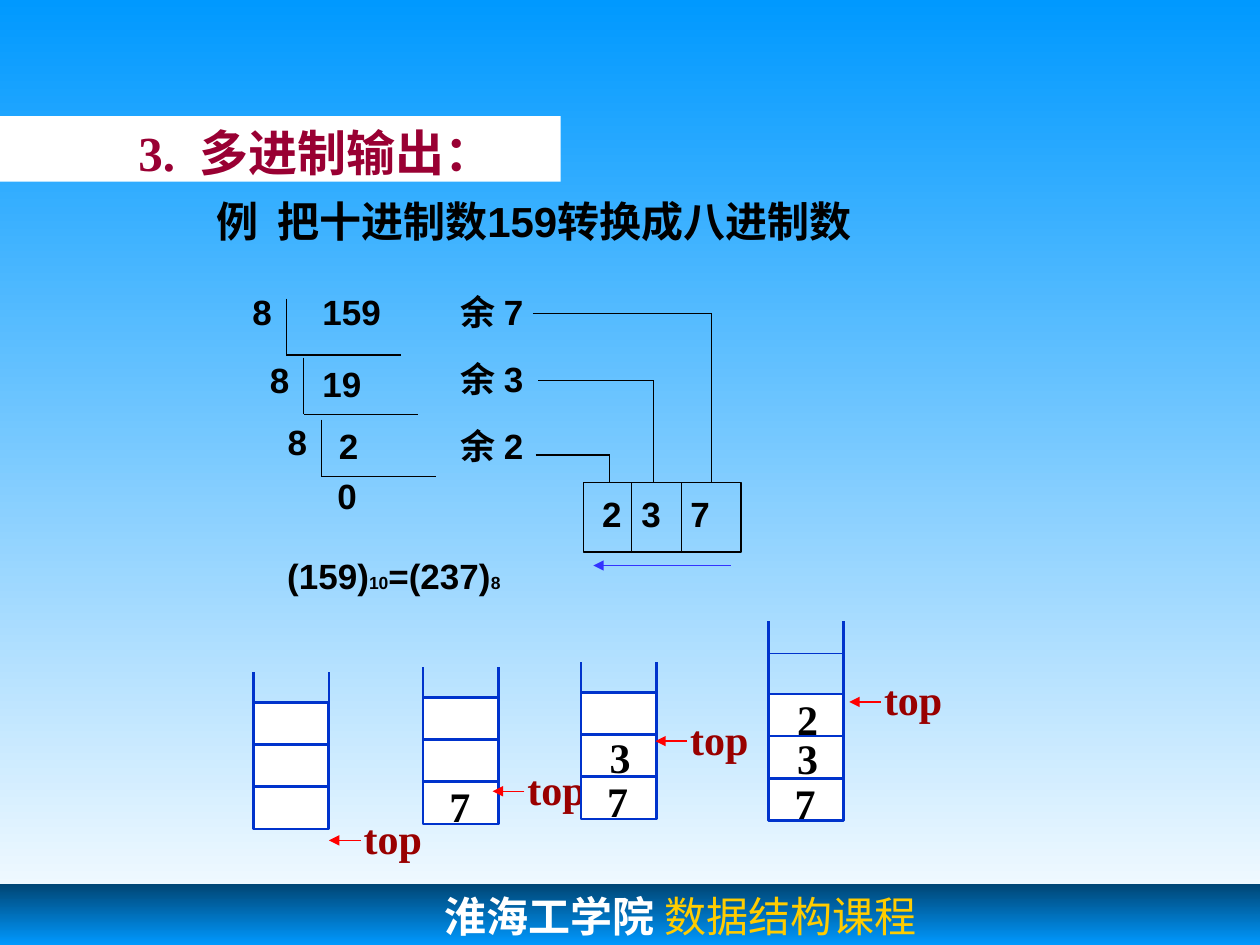
"""Build the slide on converting 159 to octal with a stack."""
from copy import deepcopy

from lxml.etree import SubElement
from pptx import Presentation
from pptx.dml.color import RGBColor
from pptx.enum.shapes import MSO_CONNECTOR as CONNECTOR, MSO_SHAPE as SHAPE
from pptx.enum.text import MSO_ANCHOR as ANCHOR, MSO_AUTO_SIZE as AUTO_SIZE, PP_ALIGN as ALIGN
from pptx.oxml.ns import qn
from pptx.util import Cm, Pt

HEX = {
    "sky": "0099FF", "navy": "004675", "white": "FFFFFF", "yellow": "FFCC00",
    "title": "990033", "black": "000000", "stack": "0033CC", "top": "990000",
    "pointer": "FF0000", "reading": "3333FF",
}
COLORS = {name: RGBColor.from_string(value) for name, value in HEX.items()}
SANS, SERIF, MONO = "Arial", "Times New Roman", "Courier New"


def add_text(left, top, width, height, runs, size=20, font=SANS, color="black", centred=False):
    box = slide.shapes.add_textbox(Cm(left), Cm(top), Cm(width), Cm(height))
    frame = box.text_frame
    frame.word_wrap = False
    frame.auto_size = AUTO_SIZE.SHAPE_TO_FIT_TEXT
    frame.vertical_anchor = ANCHOR.MIDDLE if centred else ANCHOR.TOP
    paragraph = frame.paragraphs[0]
    paragraph.alignment = ALIGN.CENTER if centred else ALIGN.LEFT
    for text in runs:
        run = paragraph.add_run()
        run.text = text
        run.font.size, run.font.name, run.font.bold = Pt(size), font, True
        run.font.color.rgb = COLORS[color]
    return paragraph


def add_line(x1, y1, x2, y2, color="black", width=0.75, arrow=False):
    line = slide.shapes.add_connector(CONNECTOR.STRAIGHT, Cm(x1), Cm(y1), Cm(x2), Cm(y2))
    line.line.color.rgb = COLORS[color]
    line.line.width = Pt(width)
    if arrow:
        SubElement(line.line._get_or_add_ln(), qn("a:tailEnd"), type="triangle")
    SubElement(line._element.spPr, qn("a:effectLst"))


presentation = Presentation()
presentation.slide_width, presentation.slide_height = Cm(25.4), Cm(19.05)
slide = presentation.slides.add_slide(presentation.slide_layouts[5])

background = slide.background.fill
background.gradient()
background.gradient_angle = 270
for stop, name in zip(background.gradient_stops, ("sky", "white")):
    stop.color.rgb = COLORS[name]

title = slide.shapes.title
title.left, title.top, title.width, title.height = Cm(0), Cm(2.34), Cm(11.3), Cm(1.32)
title.fill.solid()
title.fill.fore_color.rgb = COLORS["white"]
frame = title.text_frame
frame.text = "3.  多进制输出："
frame.auto_size = AUTO_SIZE.NONE
frame.vertical_anchor = ANCHOR.TOP
frame.margin_left = Cm(2.79)
frame.paragraphs[0].alignment = ALIGN.LEFT
font = frame.paragraphs[0].runs[0].font
font.size, font.name, font.bold = Pt(28), SERIF, True
font.color.rgb = COLORS["title"]

footer = slide.shapes.add_shape(SHAPE.RECTANGLE, Cm(0), Cm(17.83), Cm(25.4), Cm(2.46))
footer.shadow.inherit = False
footer.line.fill.background()
footer.fill.gradient()
footer.fill.gradient_angle = 270
stop_list = footer._element.spPr.find(qn("a:gradFill")).find(qn("a:gsLst"))
stop_list.insert(1, deepcopy(stop_list[0]))
stop_list[1].set("pos", "50000")
for stop, name in zip(footer.fill.gradient_stops, ("navy", "sky", "navy")):
    stop.color.rgb = COLORS[name]
frame = footer.text_frame
frame.word_wrap = True
frame.vertical_anchor = ANCHOR.TOP
frame.margin_left = Cm(8.97)
paragraph = frame.paragraphs[0]
paragraph.alignment = ALIGN.LEFT
for text, name, face, bold in (("淮海工学院", "white", MONO, True),
                               (" 数据结构课程", "yellow", SERIF, False)):
    run = paragraph.add_run()
    run.text = text
    run.font.size, run.font.name, run.font.bold = Pt(24), face, bold
    run.font.color.rgb = COLORS[name]

add_text(4.11, 3.81, 13.72, 1.27, ["例  把十进制数159转换成八进制数"], size=24)
result = add_text(5.54, 11.05, 4.8, 1.12, ["(159)", "10", "=(237)", "8"])
for base in result.runs[1::2]:
    base.font.size = Pt(10)

divisions = [
    ("159", 6.25, 5.74, 1.68, 5.77, 6.02, 5.74),
    ("19", 6.25, 7.19, 1.3, 6.12, 7.21, 7.11),
    ("2", 6.58, 8.43, 0.89, 6.48, 8.46, 8.36),
]
for number, left, top, width, corner, bracket_top, divisor_top in divisions:
    bottom = bracket_top + 1.14
    add_line(corner, bracket_top, corner, bottom)
    add_line(corner, bottom, corner + 2.31, bottom)
    add_text(left, top, width, 1.12, [number])
    add_text(corner - 0.93, divisor_top, 0.89, 1.12, ["8"])
add_text(6.55, 9.45, 0.89, 1.12, ["0"])

remainders = [
    ("余 7", 5.74, 10.74, 6.32, 14.35),
    ("余 3", 7.09, 10.85, 7.67, 13.18),
    ("余 2", 8.43, 10.8, 9.17, 12.29),
]
for text, top, start, level, end in remainders:
    add_text(9.04, top, 1.93, 1.12, [text])
    add_line(start, level, end, level)
    add_line(end, level, end, 9.73)

digits = add_text(11.89, 9.8, 3.05, 1.12, ["2\t3\t7"])
tabs = SubElement(digits._p.get_or_add_pPr(), qn("a:tabLst"))
for position in (0.79, 1.78):
    SubElement(tabs, qn("a:tab"), pos=str(Cm(position)), algn="l")
digit_box = slide.shapes.add_shape(SHAPE.RECTANGLE, Cm(11.76), Cm(9.73), Cm(3.18), Cm(1.4))
digit_box.shadow.inherit = False
digit_box.fill.background()
digit_box.line.color.rgb = COLORS["black"]
digit_box.line.width = Pt(0.75)
for x in (12.73, 13.74):
    add_line(x, 9.73, x, 11.13)
add_line(14.73, 11.4, 11.96, 11.4, "reading", arrow=True)

CELL_WIDTH, CELL_HEIGHT = 1.52, 0.85
DIGIT_OFFSETS = [(0.28, 1.0), (0.33, 1.9), (0.33, 2.69)]
stacks = [
    (5.11, 16.71, 13.54, 6.63, 16.94, ""),
    (8.53, 16.61, 13.44, 9.93, 15.95, "7"),
    (11.71, 16.51, 13.34, 13.21, 14.94, "73"),
    (15.49, 16.54, 12.52, 17.12, 14.15, "732"),
]
for left, bottom, rail_top, tip, pointer_y, content in stacks:
    for x in (left, left + CELL_WIDTH):
        add_line(x, bottom, x, rail_top, "stack", 1.5)
    for level in (1, 2, 3):
        cell = slide.shapes.add_shape(SHAPE.RECTANGLE, Cm(left), Cm(bottom - level * CELL_HEIGHT),
                                      Cm(CELL_WIDTH), Cm(CELL_HEIGHT))
        cell.shadow.inherit = False
        cell.fill.solid()
        cell.fill.fore_color.rgb = COLORS["white"]
        cell.line.color.rgb = COLORS["stack"]
        cell.line.width = Pt(1.5)
    add_line(tip + 0.64, pointer_y, tip, pointer_y, "pointer", arrow=True)
    add_text(tip + 0.45, pointer_y - 0.69, 1.68, 1.27, ["top"], 24, SERIF, "top", True)
    for digit, (shift, rise) in zip(content, DIGIT_OFFSETS):
        add_text(left + shift, bottom - rise, 0.91, 1.27, [digit], 24, SERIF, centred=True)
add_line(15.49, 13.18, 17.01, 13.18, "stack")

presentation.save("out.pptx")
